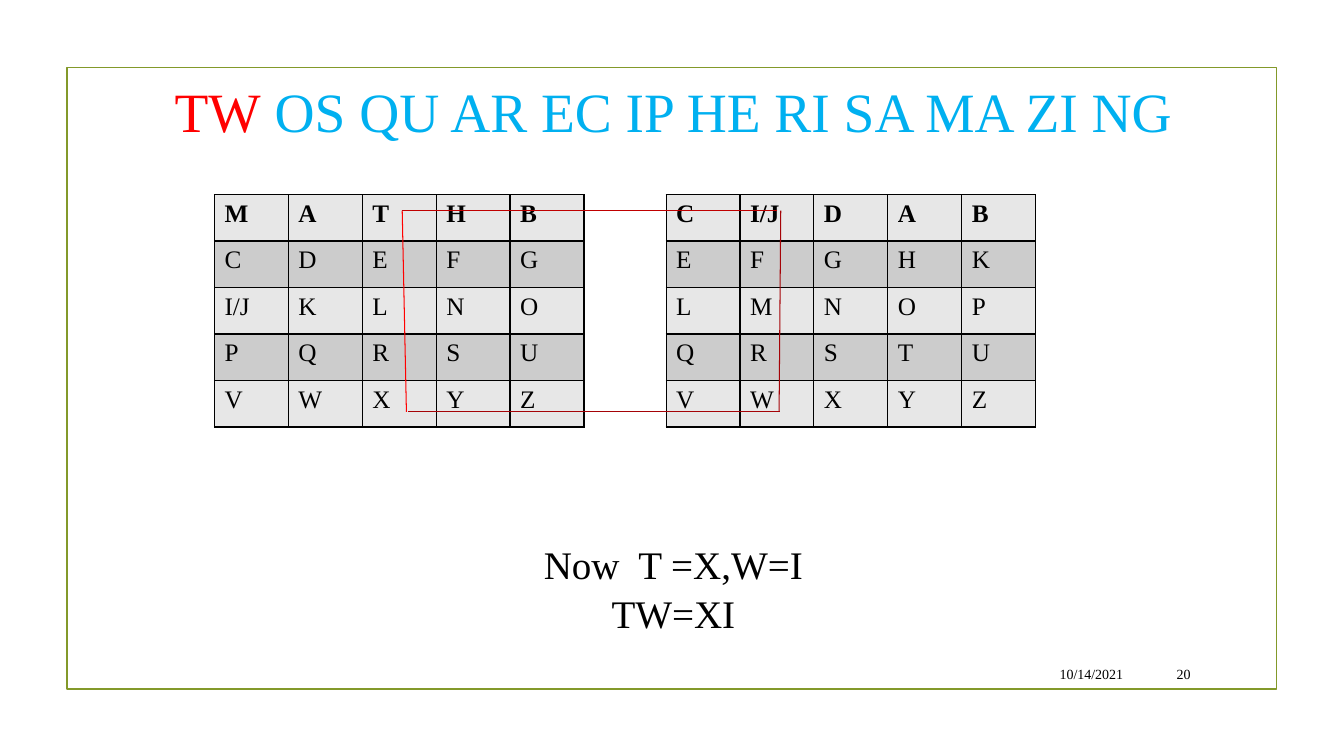
from lxml import etree
from pptx import Presentation
from pptx import util as u
from pptx.dml.color import RGBColor
from pptx.enum import shapes, text
from pptx.oxml import ns

BLACK = RGBColor(0x00, 0x00, 0x00)
RED = RGBColor(0xFF, 0x00, 0x00)
DARK_RED = RGBColor(0xC0, 0x00, 0x00)
DEEP_RED = RGBColor(0xA5, 0x03, 0x07)
SKY = RGBColor(0x00, 0xB0, 0xF0)
OLIVE = RGBColor(0x83, 0x99, 0x2A)
LIGHT_GREY = RGBColor(0xE7, 0xE7, 0xE7)
MID_GREY = RGBColor(0xCC, 0xCC, 0xCC)


def write(paragraph, words, size=18, color=BLACK, bold=False, font="Times New Roman"):
    """Add a formatted run to a paragraph."""
    run = paragraph.add_run()
    run.text = words
    run.font.name = font
    run.font.size = u.Pt(size)
    run.font.bold = bold
    run.font.color.rgb = color


class SlideBuilder:
    COLUMN_WIDTH = 52.8
    ROW_HEIGHT = 33.2

    def __init__(self, slide):
        self.slide = slide

    def frame(self, left, top, width, height):
        shape = self.slide.shapes.add_shape(
            shapes.MSO_SHAPE.RECTANGLE, u.Pt(left), u.Pt(top), u.Pt(width), u.Pt(height))
        shape.shadow.inherit = False
        shape.fill.background()
        shape.line.color.rgb = OLIVE
        shape.line.width = u.Pt(1.25)

    def text_box(self, left, top, width, height, lines, align,
                 anchor=text.MSO_ANCHOR.TOP, gap=0):
        """Each line is a list of (words, format) pairs."""
        box = self.slide.shapes.add_textbox(u.Pt(left), u.Pt(top), u.Pt(width), u.Pt(height))
        frame = box.text_frame
        frame.word_wrap = True
        frame.vertical_anchor = anchor
        for index, runs in enumerate(lines):
            paragraph = frame.add_paragraph() if index else frame.paragraphs[0]
            paragraph.alignment = align
            paragraph.space_before = u.Pt(gap if index else 0)
            for words, style in runs:
                write(paragraph, words, **style)

    def border(self, cell):
        properties = cell._tc.get_or_add_tcPr()
        for side in ("lnL", "lnR", "lnT", "lnB"):
            line = etree.SubElement(properties, ns.qn(f"a:{side}"), w=str(u.Pt(1)))
            fill = etree.SubElement(line, ns.qn("a:solidFill"))
            etree.SubElement(fill, ns.qn("a:srgbClr"), val=str(BLACK))

    def letter_square(self, left, top, rows):
        count = len(rows)
        table = self.slide.shapes.add_table(
            count, count, u.Pt(left), u.Pt(top),
            u.Pt(count * self.COLUMN_WIDTH), u.Pt(count * self.ROW_HEIGHT)).table
        for row_index, letters in enumerate(rows):
            table.rows[row_index].height = u.Pt(self.ROW_HEIGHT)
            table.columns[row_index].width = u.Pt(self.COLUMN_WIDTH)
            for column_index, letter in enumerate(letters.split()):
                cell = table.cell(row_index, column_index)
                self.border(cell)
                cell.fill.solid()
                cell.fill.fore_color.rgb = MID_GREY if row_index % 2 else LIGHT_GREY
                write(cell.text_frame.paragraphs[0], letter, bold=row_index == 0)

    def line(self, start, end, color):
        connector = self.slide.shapes.add_connector(
            shapes.MSO_CONNECTOR.STRAIGHT, *(u.Pt(value) for value in start + end))
        connector.line.color.rgb = color
        connector.line.width = u.Pt(0.75)
        etree.SubElement(connector._element.spPr, ns.qn("a:effectLst"))


def main():
    presentation = Presentation()
    presentation.slide_width = u.Pt(960)
    presentation.slide_height = u.Pt(540)
    builder = SlideBuilder(presentation.slides.add_slide(presentation.slide_layouts[6]))
    center, right = text.PP_ALIGN.CENTER, text.PP_ALIGN.RIGHT

    # Frame and title
    builder.frame(47.8, 48.2, 864, 444.2)
    builder.text_box(47.5, 51.5, 867, 56, [[
        ("TW", dict(size=39.6, color=RED)),
        (" OS QU AR EC IP HE RI SA MA ZI NG", dict(size=39.6, color=SKY))]], center)

    # Result of the first pair
    result = dict(size=27.9)
    builder.text_box(47.5, 382.5, 867, 76,
                     [[("Now  T =X,W=I", result)], [("TW=XI", result)]], center, gap=1.5)

    # Two key squares
    builder.letter_square(153.2, 139, ["M A T H B", "C D E F G", "I/J K L N O",
                                       "P Q R S U", "V W X Y Z"])
    builder.letter_square(475.8, 139, ["C I/J D A B", "E F G H K", "L M N O P",
                                       "Q R S T U", "V W X Y Z"])

    # Rectangle through the letters of the pair
    builder.line((287.3, 150.4), (290.3, 294.2), RED)
    builder.line((291.5, 294), (557, 294), DEEP_RED)
    builder.line((556.5, 294.2), (557.7, 150.4), DEEP_RED)
    builder.line((555.3, 150.4), (287.3, 150.4), DARK_RED)

    # Date and slide number
    for left, width, words in ((683.3, 126, "10/14/2021"), (815, 42.5, "20")):
        builder.text_box(left, 470, width, 22.3, [[(words, dict(size=10))]], right,
                         anchor=text.MSO_ANCHOR.MIDDLE)

    presentation.save("out.pptx")


if __name__ == "__main__":
    main()
